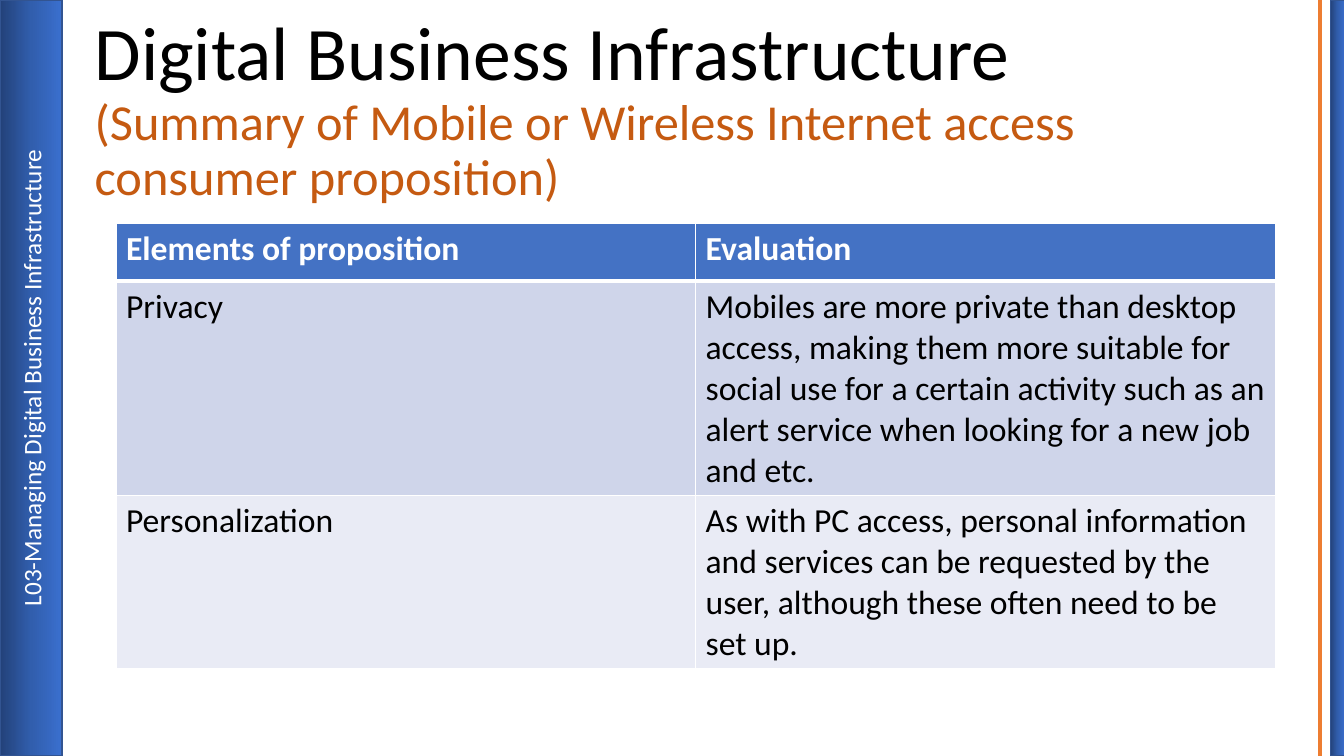
from lxml.etree import SubElement
from pptx import Presentation
from pptx.dml.color import RGBColor
from pptx.enum.shapes import MSO_CONNECTOR, MSO_SHAPE
from pptx.enum.text import MSO_ANCHOR, PP_ALIGN
from pptx.oxml import parse_xml
from pptx.oxml.ns import nsdecls, qn
from pptx.util import Inches, Pt

WIDTH, HEIGHT = Inches(13.33), Inches(7.5)
FONT = "Calibri"
COLORS = {
    "white": "FFFFFF", "black": "000000", "subtitle": "C55A11",
    "rule": "ED7D31", "bar_line": "325491", "header": "4472C4",
    "band_dark": "CFD5EA", "band_light": "E9EBF5",
}
BAR_STOPS = [(0, "23427A"), (50, "315EAD"), (100, "3A6FCE")]
PROPOSITION = [
    ("Elements of proposition", "Evaluation"),
    ("Privacy", "Mobiles are more private than desktop access, making them more "
     "suitable for social use for a certain activity such as an alert service "
     "when looking for a new job and etc."),
    ("Personalization", "As with PC access, personal information and services can "
     "be requested by the user, although these often need to be set up."),
]
ROW_HEIGHTS = [7.6, 28.3, 22.9]
ROW_FILLS = ["header", "band_dark", "band_light"]


def across(percent):
    return int(WIDTH * percent / 100)


def down(percent):
    return int(HEIGHT * percent / 100)


def color(name):
    return RGBColor.from_string(COLORS[name])


def add_span(para, text, size, ink, bold=False):
    span = para.add_run()
    span.text = text
    span.font.name = FONT
    span.font.size = Pt(size)
    span.font.bold = bold
    span.font.color.rgb = color(ink)


def add_rule(page, x):
    rule = page.shapes.add_connector(MSO_CONNECTOR.STRAIGHT, x, 0, x, HEIGHT)
    rule.line.color.rgb = color("rule")
    rule.line.width = Pt(3)
    SubElement(rule._element.spPr, qn("a:effectLst"))


def add_side_bar(page, center, thickness):
    """Add a full-height bar that reads upwards: a wide rectangle turned by 270 degrees."""
    bar = page.shapes.add_shape(MSO_SHAPE.RECTANGLE, center - HEIGHT // 2,
                                (HEIGHT - thickness) // 2, HEIGHT, thickness)
    bar.rotation = 270
    bar.shadow.inherit = False
    stops = "".join(f'<a:gs pos="{place * 1000}"><a:srgbClr val="{tone}"/></a:gs>'
                    for place, tone in BAR_STOPS)
    gradient = parse_xml(f'<a:gradFill {nsdecls("a")} rotWithShape="1"><a:gsLst>{stops}'
                         '</a:gsLst><a:lin ang="5400000" scaled="1"/></a:gradFill>')
    bar._element.spPr.find(qn("a:prstGeom")).addnext(gradient)
    bar.line.color.rgb = color("bar_line")
    bar.line.width = Pt(1)
    return bar


def add_bar_label(bar, text):
    bar.text_frame.vertical_anchor = MSO_ANCHOR.MIDDLE
    para = bar.text_frame.paragraphs[0]
    para.alignment = PP_ALIGN.CENTER
    add_span(para, text, 18, "white")


def add_title(page, title, subtitle):
    box = page.shapes.add_textbox(across(6.3), down(8.67), across(86.25), down(19.33))
    frame = box.text_frame
    frame.word_wrap = True
    frame.vertical_anchor = MSO_ANCHOR.MIDDLE
    frame.margin_bottom = down(8)
    para = frame.paragraphs[0]
    para.line_spacing = 0.9
    add_span(para, title, 54, "black")
    para.add_line_break()
    add_span(para, subtitle, 36, "subtitle")


def set_borders(cell, bottom):
    properties = cell._tc.get_or_add_tcPr()
    widths = {"lnL": 1, "lnR": 1, "lnT": 1, "lnB": bottom}
    for place, (side, width) in enumerate(widths.items()):
        properties.insert(place, parse_xml(
            f'<a:{side} {nsdecls("a")} w="{Pt(width)}"><a:solidFill>'
            f'<a:srgbClr val="{COLORS["white"]}"/></a:solidFill></a:{side}>'))


def add_proposition_table(page):
    table = page.shapes.add_table(
        len(PROPOSITION), 2, across(8.63), down(29.6),
        across(86.25), down(sum(ROW_HEIGHTS))).table
    for index, texts in enumerate(PROPOSITION):
        is_header = index == 0
        table.rows[index].height = down(ROW_HEIGHTS[index])
        for cell, text in zip(table.rows[index].cells, texts):
            cell.fill.solid()
            cell.fill.fore_color.rgb = color(ROW_FILLS[index])
            set_borders(cell, bottom=3 if is_header else 1)
            add_span(cell.text_frame.paragraphs[0], text, 24,
                     "white" if is_header else "black", bold=is_header)


def main():
    deck = Presentation()
    deck.slide_width, deck.slide_height = WIDTH, HEIGHT
    page = deck.slides.add_slide(deck.slide_layouts[6])
    add_rule(page, across(98.2))
    add_side_bar(page, across(99.55), across(1.13))
    label_bar = add_side_bar(page, across(2.33), across(4.58))
    add_bar_label(label_bar, "L03-Managing Digital Business Infrastructure")
    add_title(page, "Digital Business Infrastructure",
              "(Summary of Mobile or Wireless Internet access consumer proposition)")
    add_proposition_table(page)
    deck.save("out.pptx")


if __name__ == "__main__":
    main()
